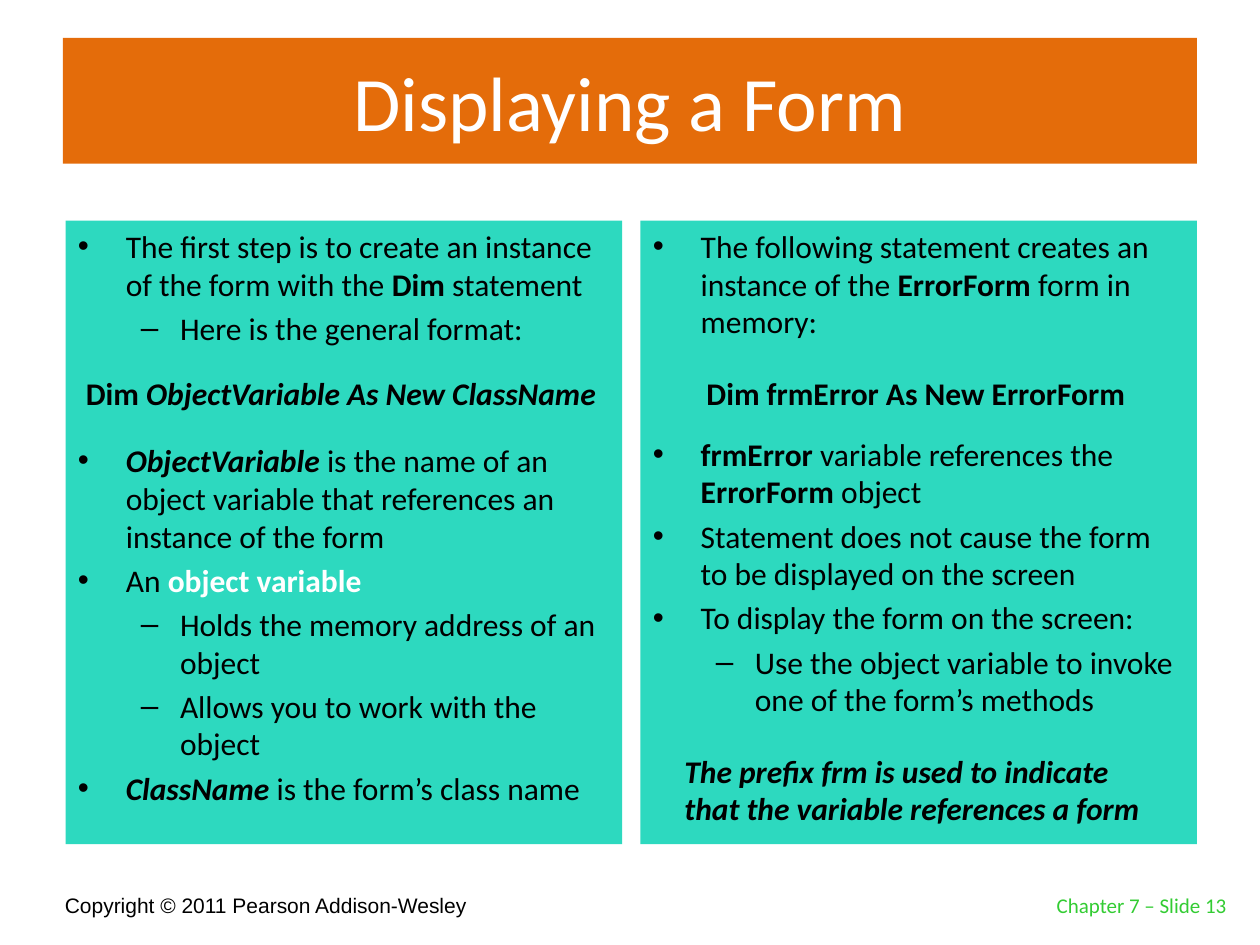
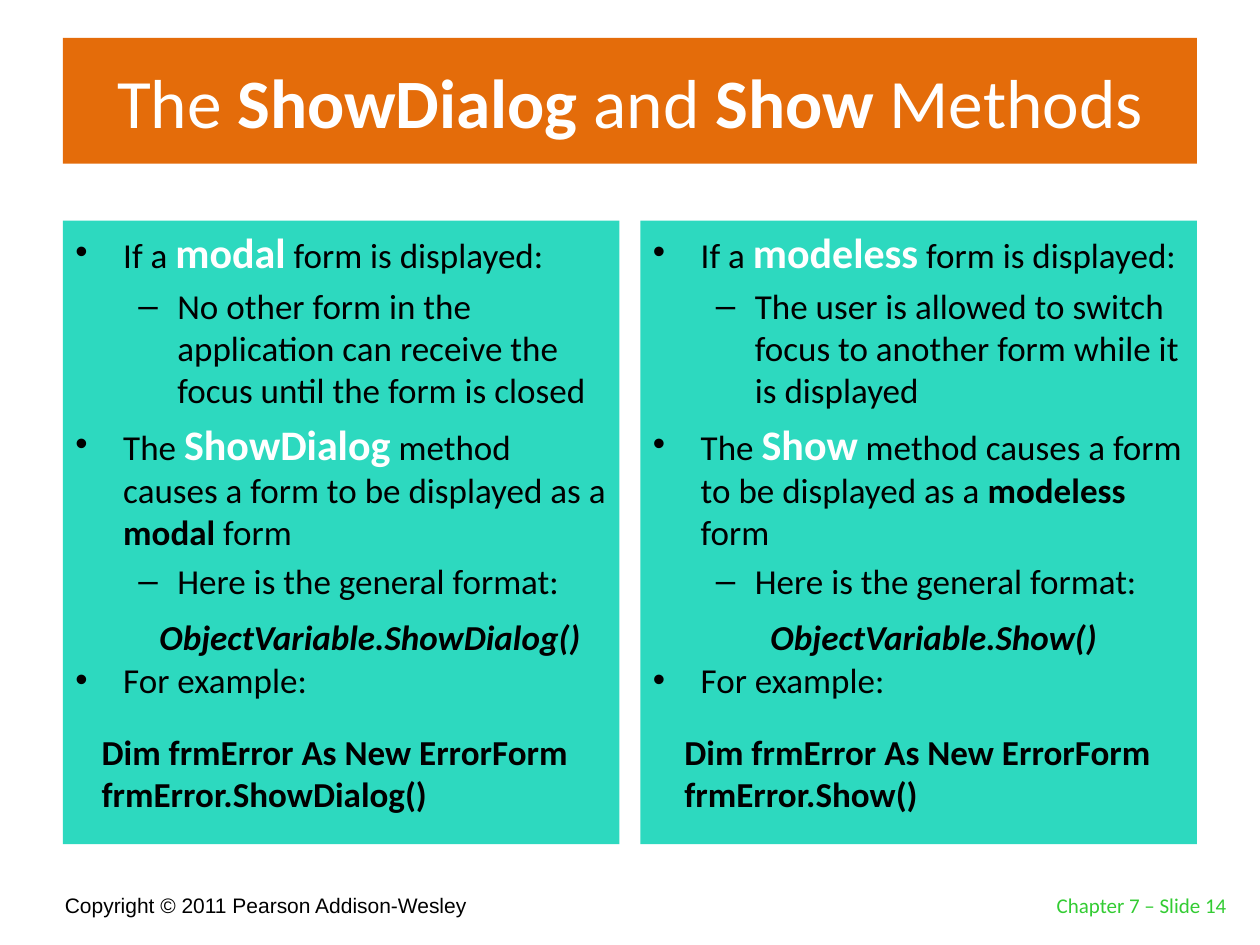
from lxml.etree import SubElement
from pptx import Presentation
from pptx.dml.color import RGBColor
from pptx.enum.shapes import MSO_SHAPE as Shape
from pptx.enum.text import MSO_ANCHOR as Anchor, MSO_AUTO_SIZE as AutoSize, PP_ALIGN as Align
from pptx.oxml.ns import qn
from pptx.util import Inches, Pt

COLUMNS, ROWS = 120, 90
WIDTH, HEIGHT = Inches(10), Inches(7.5)

ORANGE, TURQUOISE, GREEN = "E46C0A", "2DD9BF", "33CC33"
BLACK, WHITE = "000000", "FFFFFF"

BOLD = {"bold": True}
BOLD_ITALIC = {"bold": True, "italic": True}
KEYWORD = {"bold": True, "color": WHITE}
BIG_KEYWORD = {**KEYWORD, "size": 24}

# Bullet character, left margin and hanging indent in inches, by level
BULLETS = [("•", 0.38, -0.38), ("–", 0.81, -0.31)]
PANEL_TOP, PANEL_WIDTH, PANEL_HEIGHT = 21, 53, 59.4
LEFT_PANEL, RIGHT_PANEL = 6, 61


def rgb(hex_string):
    return RGBColor.from_string(hex_string)


def bullet(*runs, level=0, gap=None):
    """Describe a bullet; gap replaces the usual space before it, in points."""
    return {"runs": runs, "level": level, "gap": gap}


class Deck:
    def __init__(self):
        self.presentation = Presentation()
        self.presentation.slide_width = WIDTH
        self.presentation.slide_height = HEIGHT
        self.slide = None

    def place(self, column, row, columns, rows):
        """Turn grid cells into left, top, width and height."""
        return (round(WIDTH * column / COLUMNS), round(HEIGHT * row / ROWS),
                round(WIDTH * columns / COLUMNS), round(HEIGHT * rows / ROWS))

    def new_slide(self, title, number, title_size=44):
        blank = self.presentation.slide_layouts[6]
        self.slide = self.presentation.slides.add_slide(blank)
        self.text([["Copyright © 2011 Pearson Addison-Wesley"]], (5, 83, 73, 5),
                  {"size": 12, "name": "Arial"}, anchor=Anchor.BOTTOM)
        band = self.rectangle((6, 3.6, 108, 12), ORANGE)
        band.text_frame.vertical_anchor = Anchor.MIDDLE
        paragraph = band.text_frame.paragraphs[0]
        paragraph.alignment = Align.CENTER
        self.runs(paragraph, title, {"size": title_size, "color": WHITE})
        self.text([[f"Chapter 7 – Slide {number}"]], (93, 82, 25, 6),
                  {"size": 12, "color": GREEN}, anchor=Anchor.BOTTOM, align=Align.RIGHT)

    def rectangle(self, cells, fill):
        shape = self.slide.shapes.add_shape(Shape.RECTANGLE, *self.place(*cells))
        shape.shadow.inherit = False
        shape.fill.solid()
        shape.fill.fore_color.rgb = rgb(fill)
        shape.line.fill.background()
        shape.text_frame.word_wrap = True
        return shape

    def runs(self, paragraph, runs, base):
        """Add runs, each a string or a (string, format) pair."""
        for item in runs:
            text, extra = (item, {}) if isinstance(item, str) else item
            run = paragraph.add_run()
            run.text = text
            for key, value in {"name": "Calibri", "color": BLACK, **base, **extra}.items():
                if key == "color":
                    run.font.color.rgb = rgb(value)
                else:
                    setattr(run.font, key, Pt(value) if key == "size" else value)

    def text(self, lines, cells, style, anchor=Anchor.TOP, align=Align.LEFT, wrap=True, grow=False):
        frame = self.slide.shapes.add_textbox(*self.place(*cells)).text_frame
        frame.word_wrap = wrap
        frame.vertical_anchor = anchor
        if grow:
            frame.auto_size = AutoSize.SHAPE_TO_FIT_TEXT
        for index, line in enumerate(lines):
            paragraph = frame.add_paragraph() if index else frame.paragraphs[0]
            paragraph.alignment = align
            self.runs(paragraph, line, style)

    def code(self, lines, cells, size, wrap=False, style=BOLD):
        self.text(lines, cells, {"size": size, **style}, wrap=wrap, grow=True)

    def panel(self, column, bullets, size):
        cells = (column, PANEL_TOP, PANEL_WIDTH, PANEL_HEIGHT)
        frame = self.rectangle(cells, TURQUOISE).text_frame
        frame.vertical_anchor = Anchor.TOP
        for index, entry in enumerate(bullets):
            paragraph = frame.add_paragraph() if index else frame.paragraphs[0]
            self.bullet_format(paragraph, entry["level"])
            if index:
                largest = max([size] + [run[1].get("size", size) for run in entry["runs"]
                                        if isinstance(run, tuple)])
                paragraph.space_before = Pt(entry["gap"] or 0.2 * largest)
            self.runs(paragraph, entry["runs"], {"size": size})

    def bullet_format(self, paragraph, level):
        character, margin, indent = BULLETS[level]
        paragraph.level = level
        paragraph.alignment = Align.LEFT
        properties = paragraph._p.get_or_add_pPr()
        properties.set("marL", str(Inches(margin)))
        properties.set("indent", str(Inches(indent)))
        SubElement(properties, qn("a:buFont")).set("typeface", "Arial")
        SubElement(properties, qn("a:buChar")).set("char", character)


def displaying_a_form(deck):
    size, code_gap = 18, 54
    deck.new_slide(["Displaying a Form"], 13)
    deck.panel(LEFT_PANEL + 0.25, [
        bullet("The first step is to create an instance of the form with the ",
               ("Dim", BOLD), " statement"),
        bullet("Here is the general format:", level=1),
        bullet(("ObjectVariable ", BOLD_ITALIC),
               "is the name of an object variable that references an instance of the form",
               gap=code_gap),
        bullet("An ", ("object variable", KEYWORD)),
        bullet("Holds the memory address of an object", level=1),
        bullet("Allows you to work with the object", level=1),
        bullet(("ClassName", BOLD_ITALIC), " is the form’s class name"),
    ], size)
    deck.panel(RIGHT_PANEL, [
        bullet("The following statement creates an instance of the ",
               ("ErrorForm", BOLD), " form in memory:"),
        bullet(("frmError", BOLD), " variable references the ", ("ErrorForm", BOLD), " object",
               gap=code_gap),
        bullet("Statement does not cause the form to be displayed on the screen"),
        bullet("To display the form on the screen:"),
        bullet("Use the object variable to invoke one of the form’s methods", level=1),
    ], size)
    deck.code([["Dim ", ("ObjectVariable As New ClassName", BOLD_ITALIC)]],
              (7, 35, 51.6, 4.8), size)
    deck.code([["Dim frmError As New ErrorForm"]], (66.1, 35, 42.6, 4.8), size)
    deck.code([["The prefix frm is used to indicate that the variable references a form"]],
              (64, 71, 46, 8.5), size, wrap=True, style=BOLD_ITALIC)


def show_methods(deck):
    size, code_gap = 20, 32
    deck.new_slide(["The ", ("ShowDialog", BOLD), " and ", ("Show", BOLD), " Methods"],
                   14, title_size=39.6)
    variants = [
        (LEFT_PANEL, "modal", "ShowDialog",
         "No other form in the application can receive the focus until the form is closed",
         (14, 58, 42.8, 5.25), (8.5, 69, 48, 9.25)),
        (RIGHT_PANEL, "modeless", "Show",
         "The user is allowed to switch focus to another form while it is displayed",
         (72.2, 58, 33.7, 5.25), (64, 69, 47, 9.25)),
    ]
    for column, kind, method, effect, format_cells, example_cells in variants:
        deck.panel(column, [
            bullet("If a ", (kind, BIG_KEYWORD), " form is displayed:"),
            bullet(effect, level=1),
            bullet("The ", (method, BIG_KEYWORD),
                   " method causes a form to be displayed as a ", (kind, BOLD), " form"),
            bullet("Here is the general format:", level=1),
            bullet("For example:", gap=code_gap),
        ], size)
        deck.code([[f"ObjectVariable.{method}()"]], format_cells, size, style=BOLD_ITALIC)
        deck.code([["Dim frmError As New ErrorForm"], [f"frmError.{method}()"]],
                  example_cells, size, wrap=True)


def main():
    deck = Deck()
    displaying_a_form(deck)
    show_methods(deck)
    deck.presentation.save("out.pptx")


if __name__ == "__main__":
    main()
